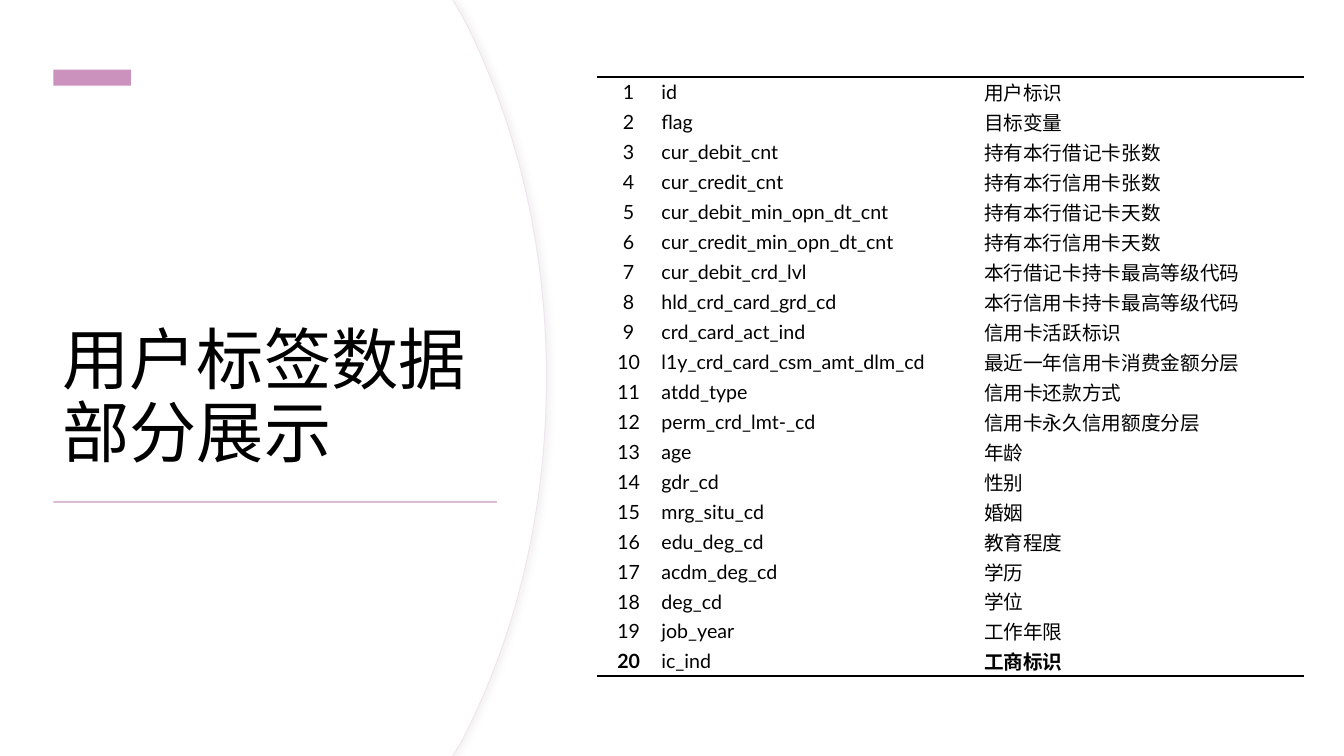
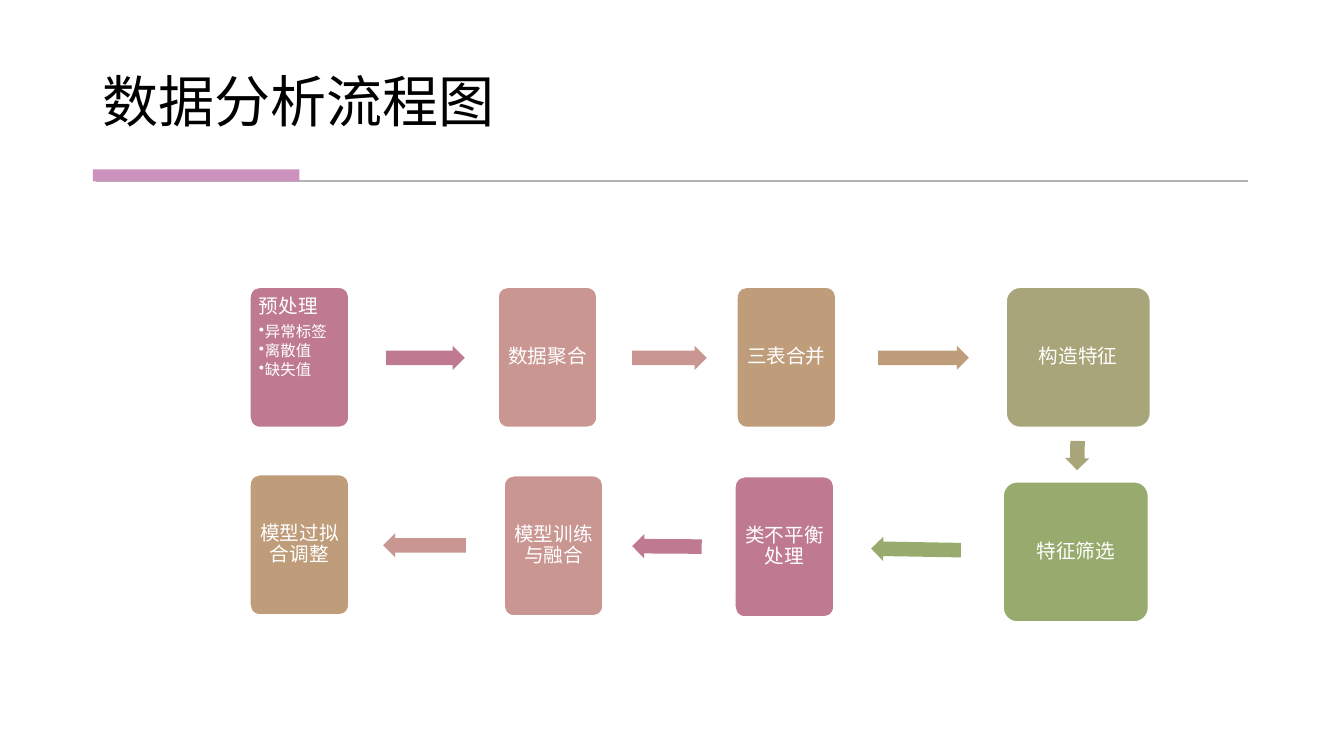
from lxml import etree
from pptx import Presentation, util as u
from pptx.dml.color import RGBColor
from pptx.enum import shapes, text
from pptx.oxml.ns import qn

FONT = "Lato"
PLAIN_TABLE = "{2D5ABB26-0587-4C30-8999-92F81FD0307C}"
COLORS = {
    "white": "FFFFFF", "black": "000000", "accent": "CA92BD", "soft": "DBBDD3",
    "edge": "F0E5EE", "shade": "D9D9D9", "rule": "B3B3B3", "rose": "BF7A91",
    "pink": "CA9692", "tan": "BF9C7A", "olive": "A9A57A", "green": "97AB6E",
}

FIELDS_TITLE = "用户标签数据部分展示"
FIELDS = [
    ("id", "用户标识"),
    ("flag", "目标变量"),
    ("cur_debit_cnt", "持有本行借记卡张数"),
    ("cur_credit_cnt", "持有本行信用卡张数"),
    ("cur_debit_min_opn_dt_cnt", "持有本行借记卡天数"),
    ("cur_credit_min_opn_dt_cnt", "持有本行信用卡天数"),
    ("cur_debit_crd_lvl", "本行借记卡持卡最高等级代码"),
    ("hld_crd_card_grd_cd", "本行信用卡持卡最高等级代码"),
    ("crd_card_act_ind", "信用卡活跃标识"),
    ("l1y_crd_card_csm_amt_dlm_cd", "最近一年信用卡消费金额分层"),
    ("atdd_type", "信用卡还款方式"),
    ("perm_crd_lmt-_cd", "信用卡永久信用额度分层"),
    ("age", "年龄"),
    ("gdr_cd", "性别"),
    ("mrg_situ_cd", "婚姻"),
    ("edu_deg_cd", "教育程度"),
    ("acdm_deg_cd", "学历"),
    ("deg_cd", "学位"),
    ("job_year", "工作年限"),
    ("ic_ind", "工商标识"),
]
COLUMN_WIDTHS = (0.63, 3.2, 3.18)
TABLE_HEIGHT = 5.95

SLIDE_HEIGHT = 7.5
CURVE_TOP = [(4.48, 0), (4.56, 0.13), (5.09, 1.14), (5.41, 2.39), (5.41, 3.75)]

FLOW_TITLE = "数据分析流程图"
BOX_HEIGHT, ARROW_HEIGHT = 1.39, 0.24
STEPS = [
    (["预处理", "异常标签", "离散值", "缺失值"], "rose", 2.48, 2.85, 0.98),
    (["数据聚合"], "pink", 4.94, 2.85, 0.98),
    (["三表合并"], "tan", 7.31, 2.85, 0.98),
    (["构造特征"], "olive", 9.98, 2.85, 1.43),
    (["特征筛选"], "green", 9.95, 4.78, 1.44),
    (["类不平衡处理"], "rose", 7.29, 4.73, 0.98),
    (["模型训练与融合"], "pink", 5.0, 4.72, 0.98),
    (["模型过拟合调整"], "tan", 2.48, 4.71, 0.98),
]
ARROWS = [
    (3.83, 3.43, 0.78, 0),
    (6.27, 3.43, 0.74, 0),
    (8.71, 3.43, 0.9, 0),
    (10.54, 4.4, 0.29, 90.9),
    (8.64, 5.33, 0.89, 181),
    (6.27, 5.3, 0.69, 180.4),
    (3.8, 5.29, 0.82, 180.1),
]


def rgb(name):
    return RGBColor.from_string(COLORS[name])


def box_of(*lengths):
    return [u.Inches(n) for n in lengths]


def style(paragraph, size, color, bold=False):
    for run in paragraph.runs:
        run.font.name, run.font.size, run.font.bold = FONT, u.Pt(size), bold
        run.font.color.rgb = rgb(color)


def paint(shape, color, line=None, width=1):
    shape.shadow.inherit = False
    shape.fill.solid()
    shape.fill.fore_color.rgb = rgb(color)
    if line:
        shape.line.color.rgb = rgb(line)
        shape.line.width = u.Pt(width)
    else:
        shape.line.fill.background()
    return shape


def add_block(slide, kind, at, color, line=None):
    return paint(slide.shapes.add_shape(kind, *box_of(*at)), color, line)


def add_bar(slide, at, color):
    return add_block(slide, shapes.MSO_SHAPE.RECTANGLE, at, color)


def add_title(slide, words, at, size):
    title = slide.shapes.title
    title.left, title.top, title.width, title.height = box_of(*at)
    frame = title.text_frame
    frame.text = words
    frame.word_wrap = True
    frame.auto_size = text.MSO_AUTO_SIZE.NONE
    frame.vertical_anchor = text.MSO_ANCHOR.BOTTOM
    heading = frame.paragraphs[0]
    heading.alignment = text.PP_ALIGN.LEFT
    heading.line_spacing = 0.9
    style(heading, size, "black")
    title.element.getparent().append(title.element)


def add_shadow(shape):
    effects = shape.element.spPr.find(qn("a:effectLst"))
    shadow = etree.SubElement(effects, qn("a:outerShdw"), blurRad=str(u.Pt(4)),
                              dist=str(u.Pt(3)), dir="0", algn="l", rotWithShape="0")
    shade = etree.SubElement(shadow, qn("a:srgbClr"), val=COLORS["shade"])
    etree.SubElement(shade, qn("a:alpha"), val="30000")


def add_curved_panel(slide, shift):
    curve_bottom = [(x, SLIDE_HEIGHT - y) for x, y in reversed(CURVE_TOP[:-1])]
    edge = [(x + shift, y) for x, y in CURVE_TOP + curve_bottom]
    builder = slide.shapes.build_freeform(0, 0, scale=1.0)
    builder.add_line_segments([box_of(*point) for point in edge + [(0, SLIDE_HEIGHT)]],
                              close=True)
    panel = builder.convert_to_shape()
    segments = list(panel.element.spPr.iter(qn("a:lnTo")))
    for first in (2, 5):
        curve = etree.Element(qn("a:cubicBezTo"))
        segments[first].addprevious(curve)
        for segment in segments[first:first + 3]:
            curve.append(segment[0])
            segment.getparent().remove(segment)
    return panel


def add_border(cell, side):
    border = etree.Element(qn("a:" + side), w=str(u.Pt(1.5)))
    fill = etree.SubElement(border, qn("a:solidFill"))
    etree.SubElement(fill, qn("a:srgbClr"), val=COLORS["black"])
    cell._tc.get_or_add_tcPr().insert(0, border)


def add_fields_table(slide):
    last = len(FIELDS) - 1
    frame = slide.shapes.add_table(
        len(FIELDS), 3, *box_of(5.92, 0.76, sum(COLUMN_WIDTHS), TABLE_HEIGHT))
    next(frame.element.iter(qn("a:tableStyleId"))).text = PLAIN_TABLE
    table = frame.table
    table.first_row = table.horz_banding = False
    for column, width in zip(table.columns, COLUMN_WIDTHS):
        column.width = u.Inches(width)
    for r, field in enumerate(FIELDS):
        for c, words in enumerate((str(r + 1), *field)):
            cell = table.cell(r, c)
            cell.text = words
            cell.vertical_anchor = text.MSO_ANCHOR.MIDDLE
            cell.margin_left = cell.margin_right = cell.margin_top = u.Inches(0.01)
            cell.margin_bottom = 0
            cell.fill.solid()
            cell.fill.fore_color.rgb = rgb("white")
            label = cell.text_frame.paragraphs[0]
            label.alignment = text.PP_ALIGN.LEFT if c else text.PP_ALIGN.CENTER
            style(label, 14, "black", bold=r == last and c != 1)
            if r == 0:
                add_border(cell, "lnT")
            if r == last:
                add_border(cell, "lnB")


def add_bullet(paragraph):
    props = paragraph._p.get_or_add_pPr()
    props.set("marL", str(u.Inches(0.06)))
    props.set("indent", str(-u.Inches(0.06)))
    etree.SubElement(props, qn("a:buChar"), char="•")


def add_step(slide, lines, color, left, top, width):
    step = add_block(slide, shapes.MSO_SHAPE.ROUNDED_RECTANGLE,
                     (left, top, width, BOX_HEIGHT), color, "white")
    step.adjustments[0] = 0.1
    frame = step.text_frame
    frame.word_wrap = True
    frame.margin_left = frame.margin_right = u.Inches(0.06)
    frame.margin_top = frame.margin_bottom = u.Inches(0.06)
    listed = len(lines) > 1
    frame.vertical_anchor = text.MSO_ANCHOR.TOP if listed else text.MSO_ANCHOR.MIDDLE
    frame.text = "\n".join(lines)
    for i, paragraph in enumerate(frame.paragraphs):
        paragraph.alignment = text.PP_ALIGN.LEFT if listed else text.PP_ALIGN.CENTER
        paragraph.line_spacing = 0.9
        if listed:
            paragraph.space_after = u.Pt(1.7 if i else 4.9)
        if i:
            add_bullet(paragraph)
        style(paragraph, 11 if i else 14, "white")


def add_arrow(slide, color, left, top, width, rotation):
    arrow = add_block(slide, shapes.MSO_SHAPE.RIGHT_ARROW,
                      (left, top, width, ARROW_HEIGHT), color)
    arrow.adjustments[0], arrow.adjustments[1] = 0.6, 0.5
    arrow.rotation = rotation


def build_fields_slide(slide):
    add_shadow(paint(add_curved_panel(slide, 0.01), "white", "edge", 0.75))
    paint(add_curved_panel(slide, 0), "white")
    add_title(slide, FIELDS_TITLE, (0.52, 1.23, 4.4, 3.5), 48)
    add_bar(slide, (0.53, 0.69, 0.77, 0.16), "accent")
    add_bar(slide, (0.53, 4.97, 4.4, 0.02), "soft")
    add_fields_table(slide)


def build_flow_slide(slide):
    add_title(slide, FLOW_TITLE, (0.92, 0.28, 11.49, 1.11), 40)
    rule = slide.shapes.add_connector(shapes.MSO_CONNECTOR.STRAIGHT,
                                      *box_of(0.95, 1.8, 12.38, 1.8))
    rule.line.color.rgb = rgb("rule")
    rule.line.width = u.Pt(1.5)
    etree.SubElement(rule.element.spPr, qn("a:effectLst"))
    add_bar(slide, (0.92, 1.68, 2.05, 0.12), "accent")
    for step in STEPS:
        add_step(slide, *step)
    for step, arrow in zip(STEPS, ARROWS):
        add_arrow(slide, step[1], *arrow)


def main():
    deck = Presentation()
    deck.slide_width, deck.slide_height = box_of(13.33, SLIDE_HEIGHT)
    for build in (build_fields_slide, build_flow_slide):
        build(deck.slides.add_slide(deck.slide_layouts[5]))
    deck.save("out.pptx")


if __name__ == "__main__":
    main()
